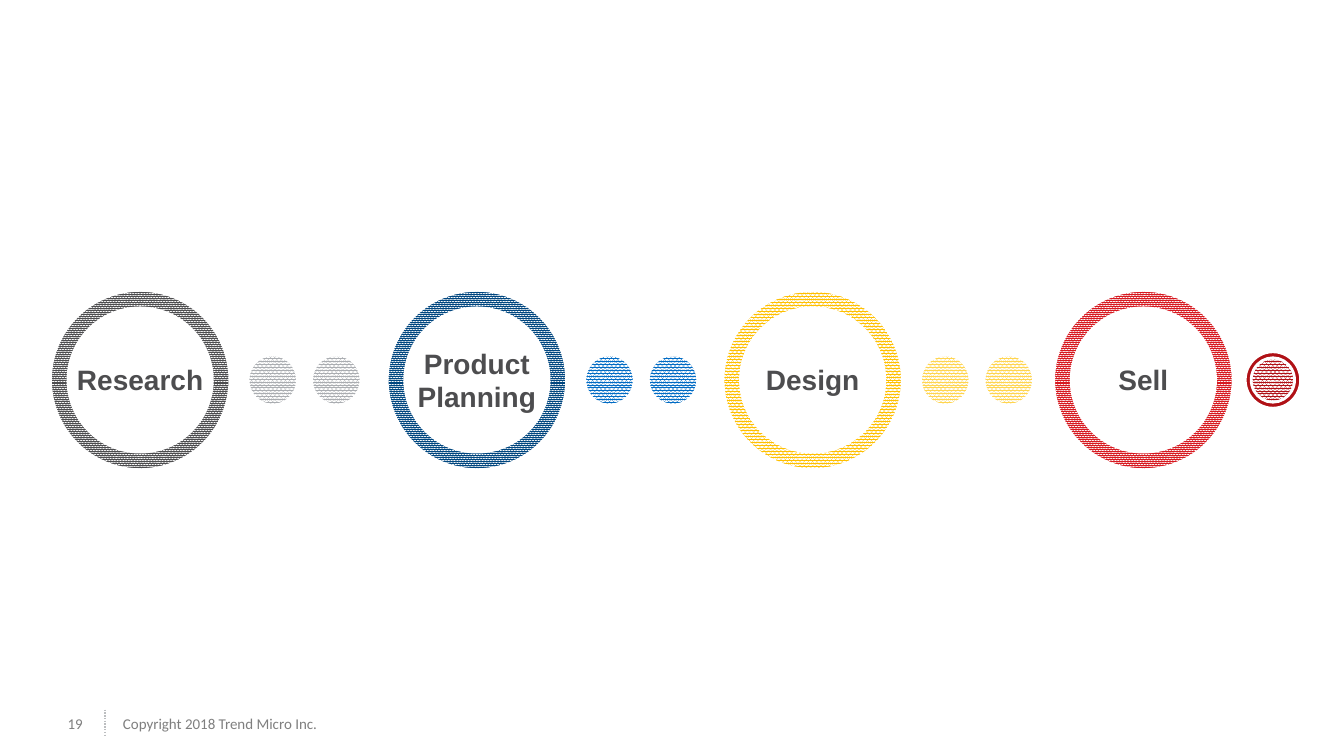
import pptx
import pptx.util
import pptx.dml.color
import pptx.enum.dml
import pptx.enum.shapes
import pptx.enum.text

Inches = pptx.util.Inches
Pt = pptx.util.Pt
RGBColor = pptx.dml.color.RGBColor
SHAPE = pptx.enum.shapes.MSO_SHAPE
PATTERN = pptx.enum.dml.MSO_PATTERN
ALIGN = pptx.enum.text.PP_ALIGN
MIDDLE = pptx.enum.text.MSO_ANCHOR.MIDDLE
FIT_SHAPE = pptx.enum.text.MSO_AUTO_SIZE.SHAPE_TO_FIT_TEXT

WHITE = RGBColor(0xFF, 0xFF, 0xFF)
CHARCOAL = RGBColor(0x4D, 0x4D, 0x4F)
GREY = RGBColor(0xAA, 0xAD, 0xB1)
NAVY = RGBColor(0x00, 0x46, 0x7F)
BLUE = RGBColor(0x00, 0x6B, 0xC4)
AMBER = RGBColor(0xFF, 0xC0, 0x00)
YELLOW = RGBColor(0xFF, 0xD5, 0x4F)
RED = RGBColor(0xD7, 0x19, 0x20)
DARK_RED = RGBColor(0xB0, 0x11, 0x16)
FOOTER_TEXT = RGBColor(0x7F, 0x7F, 0x7F)
FOOTER_LINE = RGBColor(0xBC, 0xBE, 0xC0)

RING_SIZE = 1.78
MID_Y = 3.77
DOT_OFFSETS = (1.96, 2.59)

STAGES = [
    ("Research", 0.5, 1.47, 0.44, False, CHARCOAL, PATTERN.PERCENT_90, GREY),
    ("Product Planning", 3.84, 1.44, 0.77, True, NAVY, PATTERN.PERCENT_90, BLUE),
    ("Design", 7.17, 1.44, 0.44, True, AMBER, PATTERN.PERCENT_80, YELLOW),
    ("Sell", 10.45, 1.44, 0.44, True, RED, PATTERN.PERCENT_90, None),
]


def add_round(shapes, kind, left, width, height, color, pattern=None):
    sp = shapes.add_shape(kind, Inches(left), Inches(MID_Y - height / 2),
                          Inches(width), Inches(height))
    sp.shadow.inherit = False
    if pattern is None:
        sp.fill.solid()
        sp.fill.fore_color.rgb = color
    else:
        sp.fill.patterned()
        sp.fill.pattern = pattern
        sp.fill.fore_color.rgb = color
        sp.fill.back_color.rgb = WHITE
    sp.line.color.rgb = WHITE
    sp.line.width = Pt(2)
    return sp


def add_text(shapes, text, left, top, width, height, font, size, color, wrap=False):
    sp = shapes.add_textbox(Inches(left), Inches(top), Inches(width), Inches(height))
    tf = sp.text_frame
    tf.word_wrap = wrap
    p = tf.paragraphs[0]
    p.text = text
    p.font.name = font
    p.font.size = Pt(size)
    p.font.color.rgb = color
    return tf


def add_stage(s, name, left, width, height, wrap, color, pattern, dot_color):
    group = s.shapes.add_group_shape()
    ring = add_round(group.shapes, SHAPE.DONUT, left, RING_SIZE, RING_SIZE, color, pattern)
    ring.adjustments[0] = 0.098
    tf = add_text(group.shapes, name, left + (RING_SIZE - width) / 2, MID_Y - height / 2,
                  width, height, "Arial", 20, CHARCOAL, wrap)
    tf.auto_size = FIT_SHAPE
    tf.paragraphs[0].alignment = ALIGN.CENTER
    tf.paragraphs[0].font.bold = True
    if dot_color is not None:
        for offset in DOT_OFFSETS:
            add_round(s.shapes, SHAPE.OVAL, left + offset, 0.49, 0.5,
                      dot_color, PATTERN.PERCENT_80)


def add_end_point(s):
    group = s.shapes.add_group_shape()
    add_round(group.shapes, SHAPE.OVAL, 12.35, 0.55, 0.56, DARK_RED)
    add_round(group.shapes, SHAPE.OVAL, 12.41, 0.43, 0.44, DARK_RED, PATTERN.PERCENT_80)


def add_footer(s):
    line = s.shapes.add_connector(pptx.enum.shapes.MSO_CONNECTOR.STRAIGHT,
                                  Inches(1.04), Inches(7.04), Inches(1.04), Inches(7.31))
    line.line.color.rgb = FOOTER_LINE
    line.line.width = Pt(1)
    line.line.dash_style = pptx.enum.dml.MSO_LINE.ROUND_DOT
    sp_pr = line._element.spPr
    sp_pr.append(sp_pr.makeelement(pptx.oxml.ns.qn("a:effectLst"), {}))
    for text, left, width in (("Copyright 2018 Trend Micro Inc.", 1.22, 2.23),
                              ("19", 0.67, 0.34)):
        tf = add_text(s.shapes, text, left, 6.97, width, 0.41, "Calibri", 10.7, FOOTER_TEXT)
        tf.margin_left = tf.margin_right = tf.margin_top = tf.margin_bottom = 0
        tf.vertical_anchor = MIDDLE


def main():
    prs = pptx.Presentation()
    prs.slide_width = Inches(13.33)
    prs.slide_height = Inches(7.5)
    s = prs.slides.add_slide(prs.slide_layouts[6])
    add_footer(s)
    for stage in STAGES:
        add_stage(s, *stage)
    add_end_point(s)
    prs.save("out.pptx")


if __name__ == "__main__":
    main()
